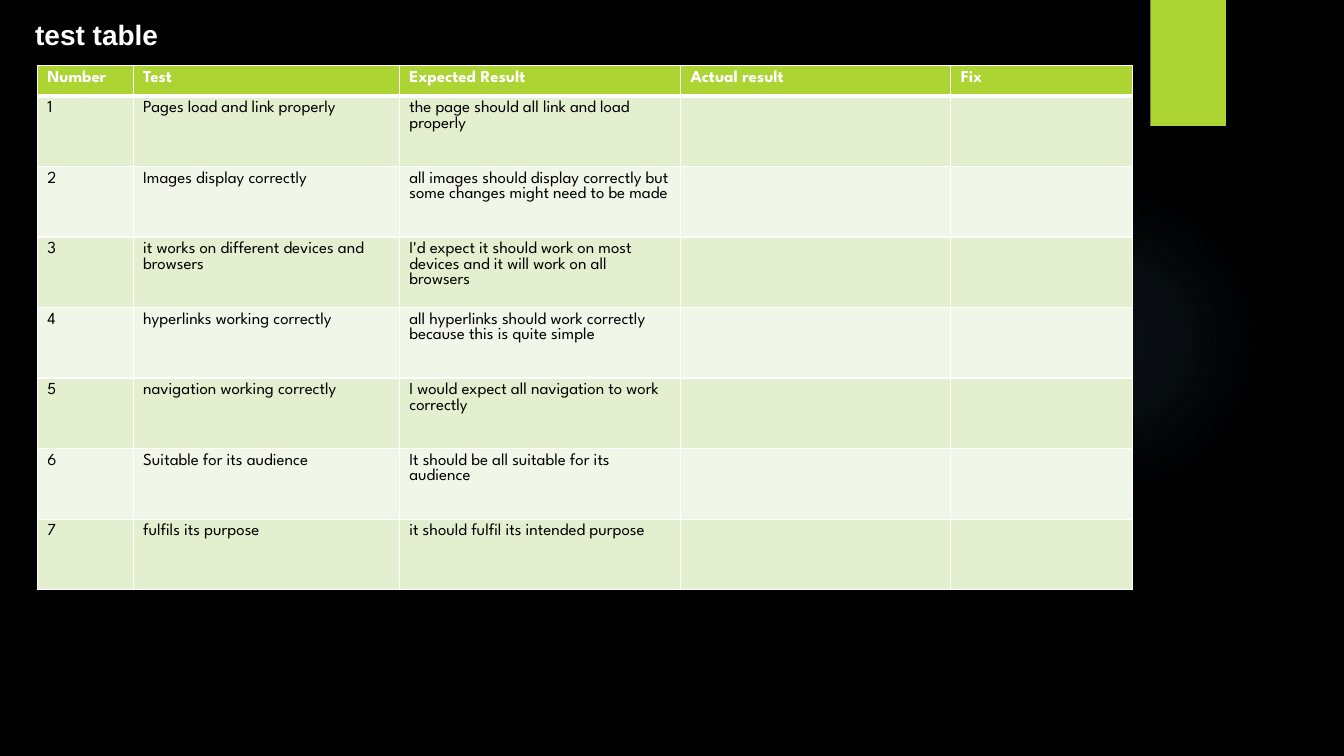
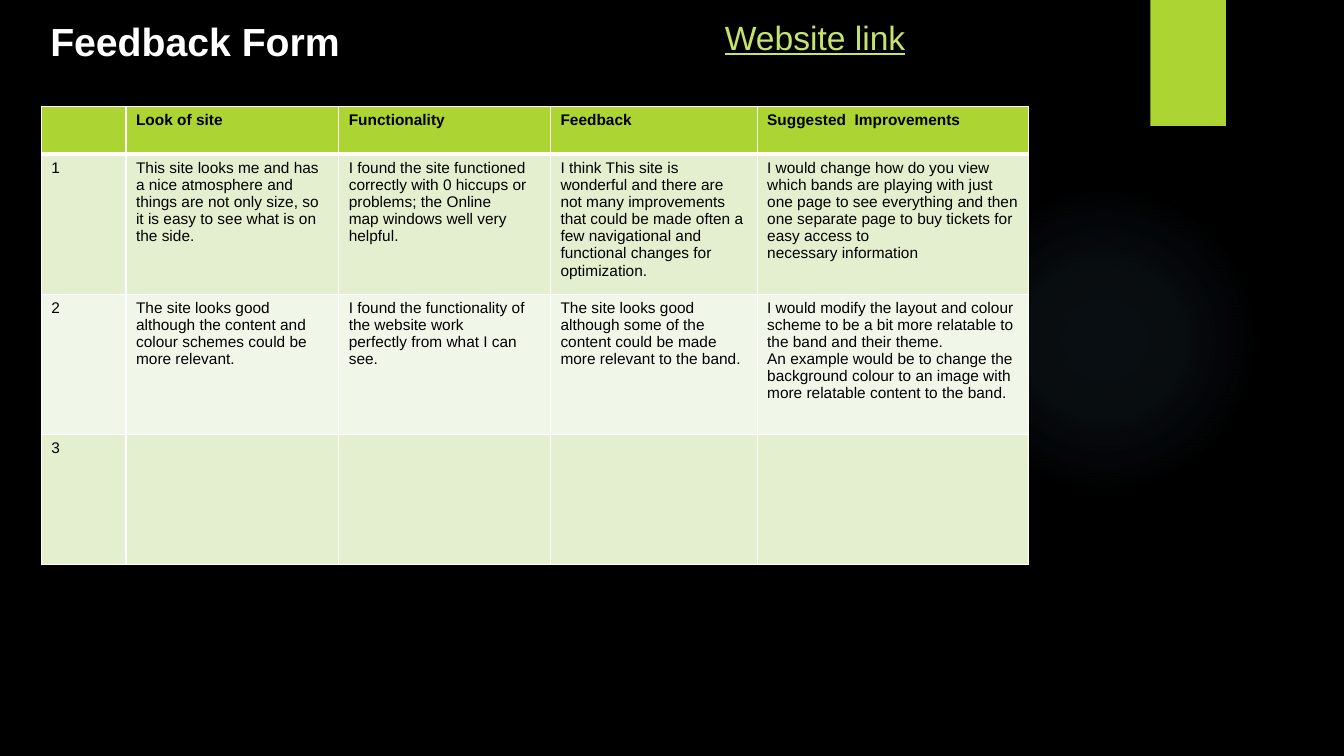
from pptx import Presentation
from pptx.dml.color import RGBColor
from pptx.enum.shapes import MSO_SHAPE
from pptx.oxml import parse_xml
from pptx.oxml.ns import nsdecls
from pptx.util import Inches, Pt

# Shared look
BLACK, WHITE = "000000", "FFFFFF"
GREEN, LINK = "ACD433", "C4E46E"
BANDS = ["E3EFCE", "F1F7E8"]
GLOW = "7AC4F0"
GLOW_STOPS = [(0, 7), (36, 6), (69, 0)]  # position and opacity, percent
BODY_FONT, TABLE_FONT = "Arial", "League Spartan"
NBSP = chr(160)  # typed as ~ in the texts below

# Table contents; rows may be shorter than the header
TEST_ROWS = [
    ["Number", "Test", "Expected Result", "Actual result", "Fix"],
    ["1", "Pages load and link properly",
     "the page should all link and load properly"],
    ["2", "Images display correctly",
     "all images should display correctly but some changes might need to be made"],
    ["3", "it works on different devices and browsers",
     "I'd expect it should work on most devices and it will work on all browsers"],
    ["4", "hyperlinks working correctly",
     "all hyperlinks should work correctly because this is quite simple"],
    ["5", "navigation working correctly",
     "I would expect all navigation to work correctly"],
    ["6", "Suitable for its audience",
     "It should be all suitable for its audience"],
    ["7", "fulfils its purpose", "it should fulfil~its intended~purpose"],
]
FEEDBACK_ROWS = [
    ["", "Look of site", "Functionality", "Feedback", "Suggested~~Improvements"],
    ["1",
     "This site looks~me and has a nice atmosphere and things are not only size, "
     "so it is easy to see what is on the side.",
     "I found the site functioned correctly with 0 hiccups or problems; "
     "the Online map~windows well very helpful.",
     "I think This site is wonderful and there are not many improvements that "
     "could be made often a few navigational and functional changes for optimization.",
     "I would change how do you~view which bands are~playing with just one page "
     "to~see everything and then one~separate page to buy tickets~for easy access "
     "to necessary~information"],
    ["2",
     "The site looks good although the content and colour schemes could be "
     "more relevant.",
     "I found the functionality of the website work perfectly~from what I can see.",
     "The site looks good although some of the content could be made more "
     "relevant to the band.",
     "I would modify the~layout and~colour scheme to be a bit~more~relatable to "
     "the band and~their~theme.\n"
     "An example would be to change the background colour to an image with more "
     "relatable content to the band."],
    ["3"],
]


def rgb(value):
    return RGBColor.from_string(value)


def add_run(p, text, size, color, font=BODY_FONT, bold=False, underline=False):
    r = p.add_run()
    r.text = text.replace("~", NBSP)
    r.font.name, r.font.size = font, Pt(size)
    r.font.bold, r.font.underline = bold, underline
    r.font.color.rgb = rgb(color)


def add_shape(s, kind, x, y, w, h, color):
    sp = s.shapes.add_shape(kind, Inches(x), Inches(y), Inches(w), Inches(h))
    sp.shadow.inherit = False
    sp.line.fill.background()
    sp.fill.solid()
    sp.fill.fore_color.rgb = rgb(color)
    return sp


def add_glow(s):
    sp = add_shape(s, MSO_SHAPE.OVAL, 9.41, 1.83, 3.08, 3.08, GLOW)
    stops = "".join(
        f'<a:gs pos="{pos * 1000}"><a:srgbClr val="{GLOW}">'
        f'<a:alpha val="{alpha * 1000}"/></a:srgbClr></a:gs>'
        for pos, alpha in GLOW_STOPS)
    gradient = parse_xml(
        f'<a:gradFill {nsdecls("a")} rotWithShape="1"><a:gsLst>{stops}</a:gsLst>'
        '<a:path path="circle"><a:fillToRect l="50000" t="50000" r="50000" '
        'b="50000"/></a:path></a:gradFill>')
    solid = sp.fill._xPr.solidFill if hasattr(sp.fill._xPr, "solidFill") else \
        sp.element.spPr.find("{*}solidFill")
    solid.getparent().replace(solid, gradient)


def add_slide(prs):
    s = prs.slides.add_slide(prs.slide_layouts[6])
    s.background.fill.solid()
    s.background.fill.fore_color.rgb = rgb(BLACK)
    add_glow(s)
    add_shape(s, MSO_SHAPE.RECTANGLE, 11.41, 0, 0.75, 1.25, GREEN)
    return s


def add_text(s, text, x, w, h, size, color, **style):
    sp = s.shapes.add_textbox(Inches(x), Inches(0.12), Inches(w), Inches(h))
    tf = sp.text_frame
    tf.word_wrap = True
    add_run(tf.paragraphs[0], text, size, color, **style)


def set_borders(cell, top, bottom):
    tc_pr = cell._tc.get_or_add_tcPr()
    for side, width in (("L", 1), ("R", 1), ("T", top), ("B", bottom)):
        tc_pr.append(parse_xml(
            f'<a:ln{side} {nsdecls("a")} w="{Pt(width)}"><a:solidFill>'
            f'<a:srgbClr val="{WHITE}"/></a:solidFill></a:ln{side}>'))


def add_table(s, rows, x, y, widths, heights, size, font, header_color):
    frame = s.shapes.add_table(len(rows), len(widths), Inches(x), Inches(y),
                               Inches(sum(widths)), Inches(sum(heights)))
    table = frame.table
    for column, width in zip(table.columns, widths):
        column.width = Inches(width)
    for i, (row, height) in enumerate(zip(rows, heights)):
        table.rows[i].height = Inches(height)
        header = i == 0
        for j in range(len(widths)):
            cell = table.cell(i, j)
            # The rule under the header is heavier
            set_borders(cell, 3 if i == 1 else 1, 3 if header else 1)
            cell.fill.solid()
            cell.fill.fore_color.rgb = rgb(GREEN if header else BANDS[(i - 1) % 2])
            text = row[j] if j < len(row) else ""
            tf = cell.text_frame
            for k, line in enumerate(text.split("\n") if text else []):
                p = tf.add_paragraph() if k else tf.paragraphs[0]
                add_run(p, line, size, header_color if header else BLACK,
                        font, bold=header)


def main():
    prs = Presentation()
    prs.slide_width, prs.slide_height = Inches(13.33), Inches(7.5)

    # Test table
    s = add_slide(prs)
    add_text(s, "test table", 0.25, 8.83, 0.44, 20, WHITE, bold=True)
    add_table(s, TEST_ROWS, 0.37, 0.65, [0.95, 2.64, 2.79, 2.68, 1.8],
              [0.3] + [0.7] * 7, 12, TABLE_FONT, WHITE)

    # Feedback form
    s = add_slide(prs)
    add_text(s, "Website link", 7.09, 3.88, 0.5, 24, LINK, underline=True)
    add_table(s, FEEDBACK_ROWS, 0.41, 1.06, [0.84, 2.11, 2.1, 2.05, 2.69],
              [0.47, 1.39, 1.39, 1.29], 11, BODY_FONT, BLACK)
    add_text(s, "Feedback Form", 0.4, 4.22, 0.57, 28, WHITE, bold=True)

    prs.save("out.pptx")


if __name__ == "__main__":
    main()
